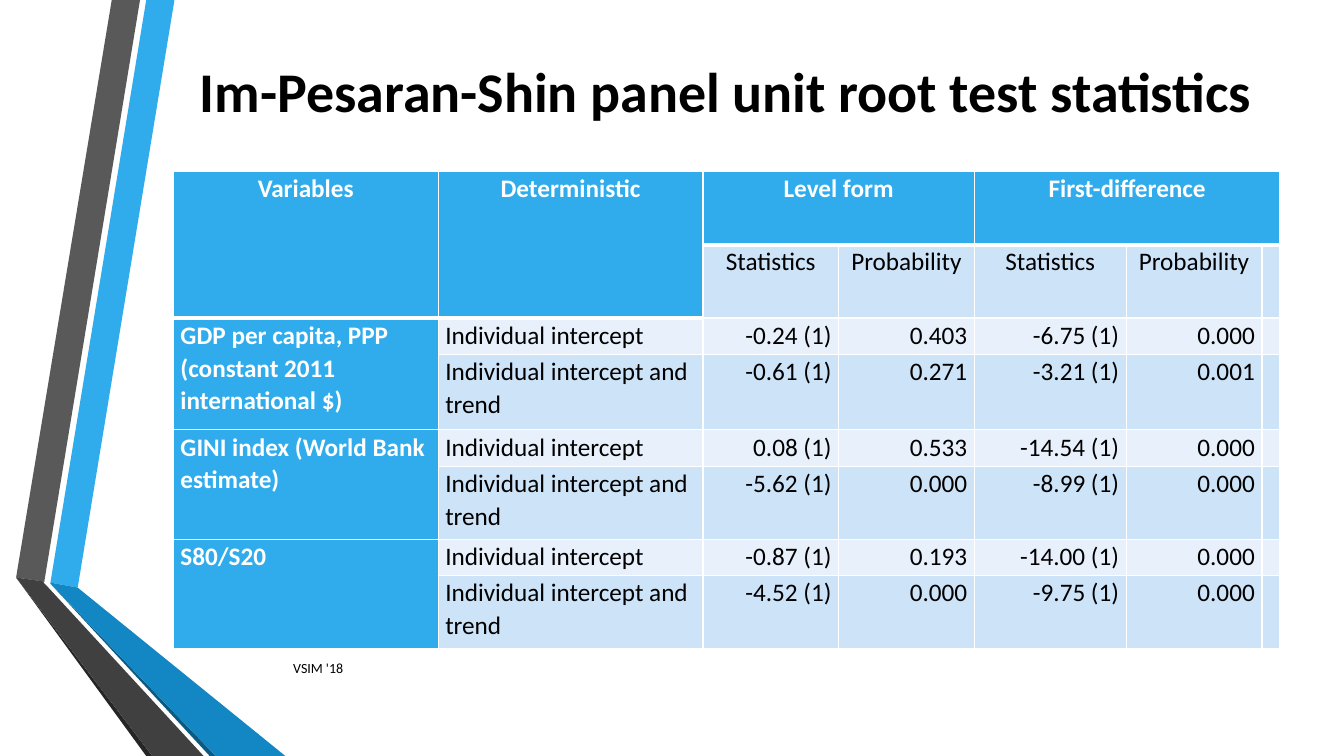
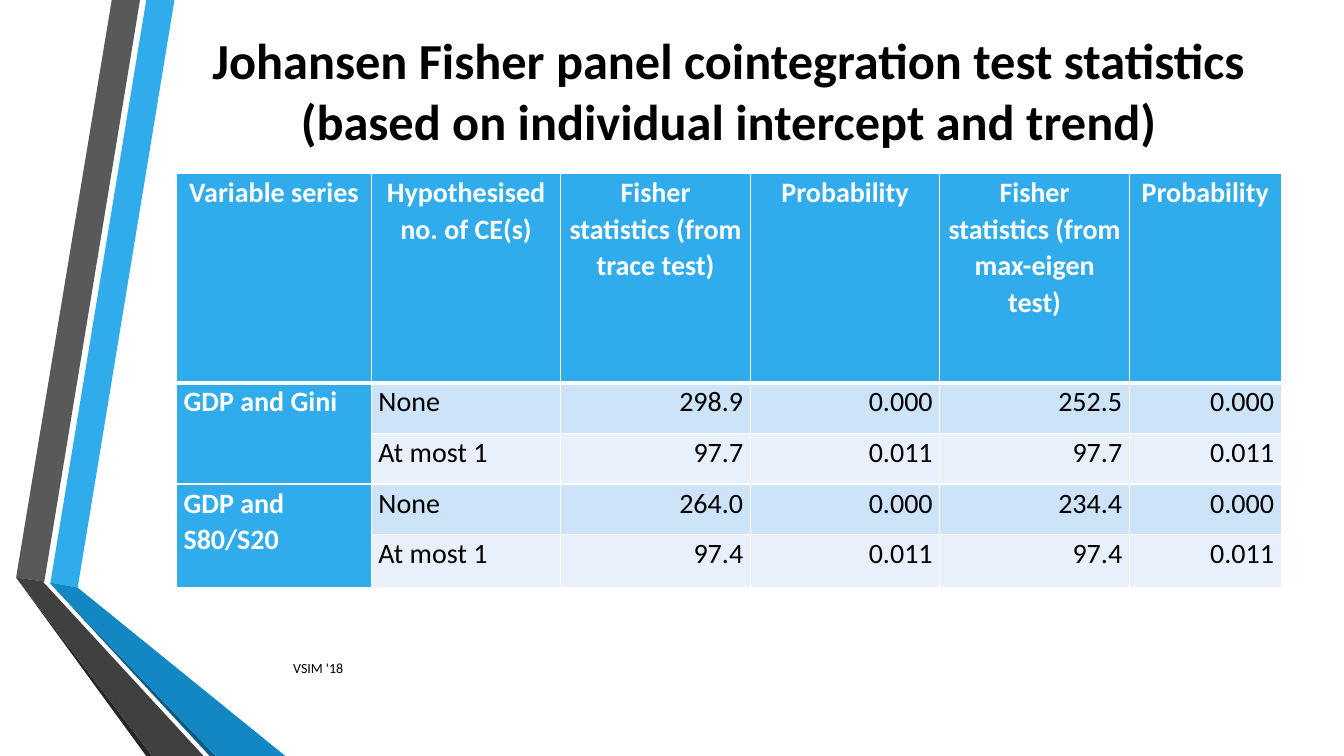
from lxml import etree
from pptx import Presentation
from pptx.dml.color import RGBColor
from pptx.enum.text import MSO_ANCHOR, PP_ALIGN
from pptx.oxml.ns import qn
from pptx.util import Inches, Pt

LEFT, CENTER, RIGHT, JUSTIFY = PP_ALIGN.LEFT, PP_ALIGN.CENTER, PP_ALIGN.RIGHT, PP_ALIGN.JUSTIFY
MIDDLE = MSO_ANCHOR.MIDDLE

FONT = "Calibri"
COLORS = {
    "white": "FFFFFF", "black": "000000",
    "blue": "30ACEC", "deep_blue": "1287C3", "navy": "0C5A82",
    "gray": "595959", "charcoal": "404040", "shadow": "262626",
    "band_dark": "CDE3F8", "band_light": "E8F1FB",
}

# Ribbon outlines, in percent of the slide's width and height
RIBBONS = [
    ("blue", [(3.75, 77.07), (5.78, 77.73), (12.98, 0), (10.88, 0)]),
    ("gray", [(10.42, 0), (8.32, 0), (1.2, 76.4), (3.3, 76.93)]),
    ("shadow", [(1.2, 76.4), (10.88, 100), (11.33, 100)]),
    ("navy", [(3.75, 77.2), (15.6, 100), (16.05, 100)]),
    ("deep_blue", [(3.75, 77.2), (16.05, 100), (21.23, 100), (5.78, 77.73), (3.75, 77.07)]),
    ("charcoal", [(15.15, 100), (3.6, 77.73), (3.23, 77.07), (3.3, 76.93),
                  (1.2, 76.4), (11.33, 100)]),
]


def rgb(name):
    return RGBColor.from_string(COLORS[name])


class Deck:
    """Holds the style and the current slide; lengths are percent of the slide's size."""

    def __init__(self):
        self.prs = Presentation()
        self.prs.slide_width, self.prs.slide_height = Inches(13.33), Inches(7.5)
        self.s = None

    def x(self, share):
        return round(self.prs.slide_width * share / 100)

    def y(self, share):
        return round(self.prs.slide_height * share / 100)

    def box(self, left, top, width, height):
        return self.x(left), self.y(top), self.x(width), self.y(height)

    def slide(self, title, size, left):
        self.s = self.prs.slides.add_slide(self.prs.slide_layouts[6])
        for color, points in RIBBONS:
            self.ribbon(color, points)
        self.text(title, (left, 0, 82.2, 23.8), size, CENTER, bold=True)
        self.text("VSIM '18", (21.08, 85.73, 58.13, 5.33), 10)

    def ribbon(self, color, points):
        corners = [(self.x(px), self.y(py)) for px, py in points]
        builder = self.s.shapes.build_freeform(*corners[0])
        builder.add_line_segments(corners[1:], close=True)
        sp = builder.convert_to_shape()
        sp.shadow.inherit = False
        sp.fill.solid()
        sp.fill.fore_color.rgb = rgb(color)
        sp.line.fill.background()

    def paragraph(self, p, text, size, color="black", align=LEFT, bold=False):
        p.text = text
        p.alignment = align
        p.font.name, p.font.size, p.font.bold = FONT, Pt(size), bold
        p.font.color.rgb = rgb(color)

    def text(self, text, area, size, align=LEFT, bold=False):
        tf = self.s.shapes.add_textbox(*self.box(*area)).text_frame
        tf.word_wrap = True
        tf.vertical_anchor = MIDDLE
        self.paragraph(tf.paragraphs[0], text, size, align=align, bold=bold)

    def borders(self, cell, top, bottom):
        tc_pr = cell._tc.get_or_add_tcPr()
        for side, width in (("L", 1), ("R", 1), ("T", top), ("B", bottom)):
            ln = etree.SubElement(tc_pr, qn(f"a:ln{side}"), w=str(Pt(width)))
            fill = etree.SubElement(ln, qn("a:solidFill"))
            etree.SubElement(fill, qn("a:srgbClr"), val=COLORS["white"])

    def table(self, left, top, widths, heights, rows, size, spans, subheads=0, text_align=LEFT):
        """Draw rows; spans are (row, column, rows, columns), subheads counts rows under the header."""
        area = self.box(left, top, sum(widths), sum(heights))
        table = self.s.shapes.add_table(len(rows), len(widths), *area).table
        table.first_row = table.horz_banding = False
        for column, width in zip(table.columns, widths):
            column.width = self.x(width)
        for row, height in zip(table.rows, heights):
            row.height = self.y(height)

        header = {(0, j) for j in range(len(widths))}
        for i, j, down, across in spans:
            table.cell(i, j).merge(table.cell(i + down - 1, j + across - 1))
            if i == 0:
                header |= {(i + di, j + dj) for di in range(down) for dj in range(across)}

        for i, row in enumerate(rows):
            for j, text in enumerate(row):
                cell = table.cell(i, j)
                is_header = (i, j) in header
                strong = is_header or j == 0
                if is_header or i <= subheads:
                    align = CENTER
                else:
                    align = (LEFT, text_align)[j] if j < 2 else RIGHT
                self.borders(cell, 3 if (i - 1, j) in header else 1, 3 if is_header else 1)
                cell.fill.solid()
                band = "band_dark" if i % 2 else "band_light"
                cell.fill.fore_color.rgb = rgb("blue" if strong else band)
                cell.margin_left = cell.margin_right = self.x(0.53)
                cell.margin_top = cell.margin_bottom = 0
                p = cell.text_frame.paragraphs[0]
                self.paragraph(p, text, size, "white" if strong else "black", align, strong)
                p.line_spacing = 1.07


def unit_root_slide(deck):
    deck.slide("Im-Pesaran-Shin panel unit root test statistics", 40, 12.9)
    tests = [
        ("GDP per capita, PPP (constant 2011 international $)",
         ["-0.24 (1)", "0.403", "-6.75 (1)", "0.000"],
         ["-0.61 (1)", "0.271", "-3.21 (1)", "0.001"]),
        ("GINI index (World Bank estimate)",
         ["0.08 (1)", "0.533", "-14.54 (1)", "0.000"],
         ["-5.62 (1)", "0.000", "-8.99 (1)", "0.000"]),
        ("S80/S20",
         ["-0.87 (1)", "0.193", "-14.00 (1)", "0.000"],
         ["-4.52 (1)", "0.000", "-9.75 (1)", "0.000"]),
    ]
    rows = [["Variables", "Deterministic", "Level form", "", "First-difference", "", ""],
            ["", ""] + ["Statistics", "Probability"] * 2 + [""]]
    for variable, intercept, trend in tests:
        rows.append([variable, "Individual intercept", *intercept, ""])
        rows.append(["", "Individual intercept and trend", *trend, ""])
    spans = [(0, 0, 2, 1), (0, 1, 2, 1), (0, 2, 1, 2), (0, 4, 1, 3)]
    spans += [(i, 0, 2, 1) for i in range(2, len(rows), 2)]
    deck.table(12.9, 22.67, [19.7, 19.7, 10.1, 10.1, 11.3, 10.1, 1.2],
               [9.7, 9.7, 4.8, 10, 4.8, 9.7, 4.8, 9.7], rows, 18, spans, subheads=1)


def cointegration_slide(deck):
    deck.slide("Johansen Fisher panel cointegration test statistics "
               "(based on individual intercept and trend)", 36, 13.13)
    rows = [
        ["Variable series", "Hypothesised no. of CE(s)", "Fisher statistics (from trace test)",
         "Probability", "Fisher statistics (from max-eigen test)", "Probability"],
        ["GDP and Gini", "None", "298.9", "0.000", "252.5", "0.000"],
        ["", "At most 1", "97.7", "0.011", "97.7", "0.011"],
        ["GDP and S80/S20", "None", "264.0", "0.000", "234.4", "0.000"],
        ["", "At most 1", "97.4", "0.011", "97.4", "0.011"],
    ]
    deck.table(13.13, 22.93, [14.5] + [14.1] * 4 + [11.3], [27.7, 6.7, 6.7, 6.7, 7],
               rows, 20, [(1, 0, 2, 1), (3, 0, 2, 1)], text_align=JUSTIFY)


def main():
    deck = Deck()
    unit_root_slide(deck)
    cointegration_slide(deck)
    deck.prs.save("out.pptx")


if __name__ == "__main__":
    main()
